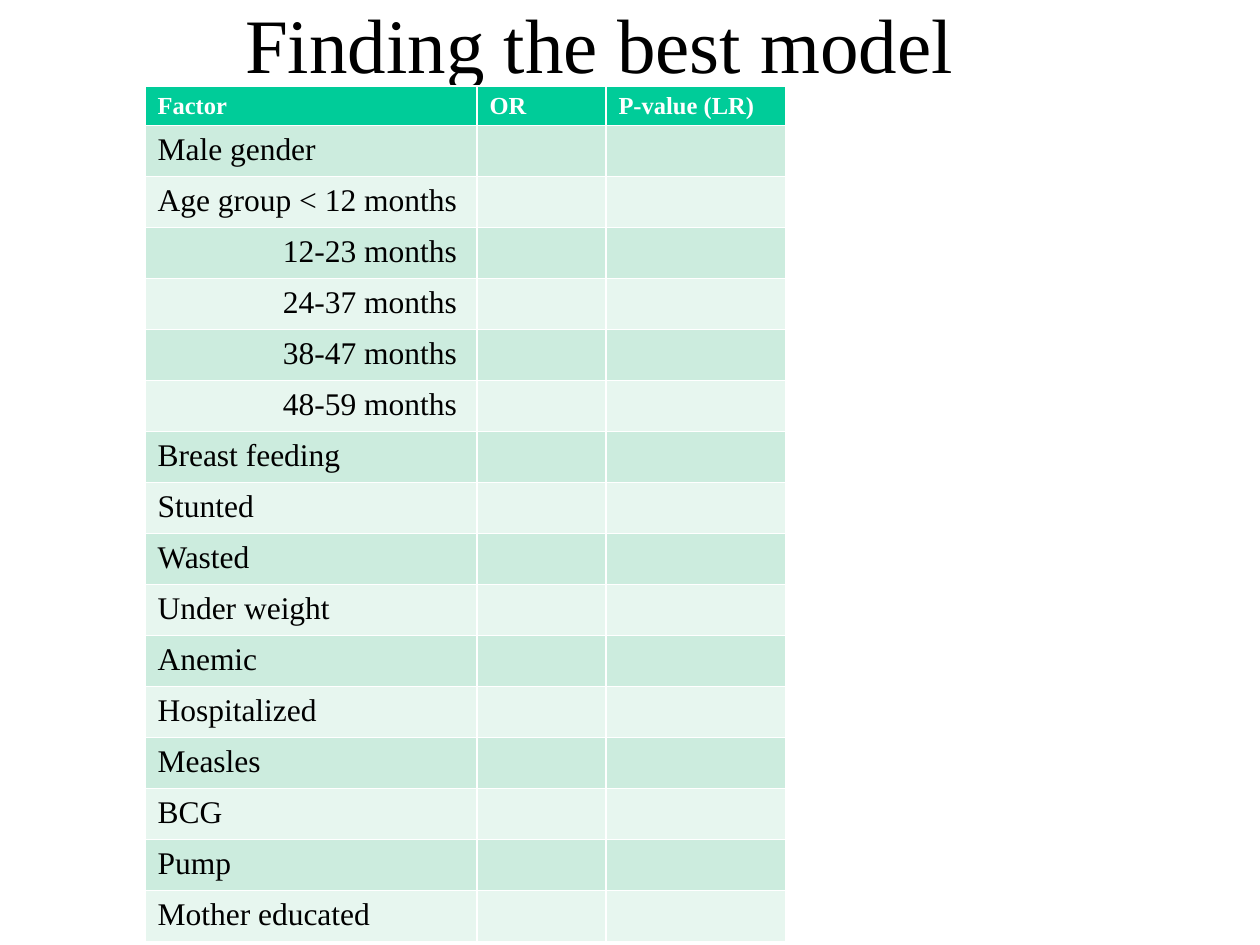
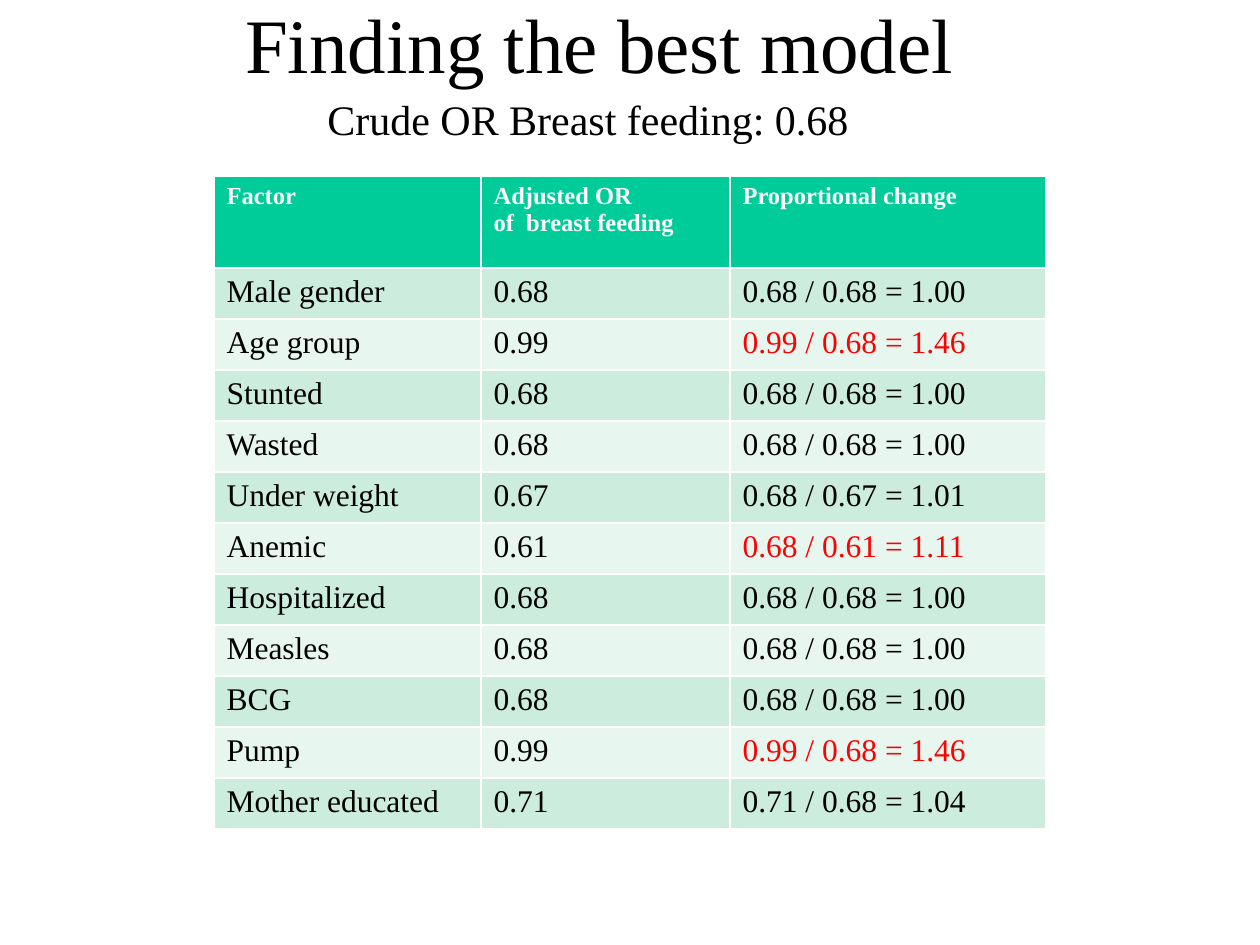
import pptx
import pptx.util
import pptx.dml.color
import pptx.enum.text

# Content
TITLE = "Finding the best model"
FACTOR_HEADER = ["Factor", "OR", "P-value (LR)"]
FACTORS = [
    "Male gender", "Age group < 12 months",
    "12-23 months", "24-37 months", "38-47 months", "48-59 months",
    "Breast feeding", "Stunted", "Wasted", "Under weight", "Anemic",
    "Hospitalized", "Measles", "BCG", "Pump", "Mother educated",
]
AGE_SUBGROUPS = FACTORS[2:6]

CRUDE_OR = 0.68
CRUDE_TEXT = f"Crude OR Breast feeding: {CRUDE_OR:.2f}"
CHANGE_HEADER = ["Factor", "Adjusted OR\nof  breast feeding", "Proportional change"]
ADJUSTED_ORS = [
    ("Male gender", 0.68), ("Age group", 0.99), ("Stunted", 0.68),
    ("Wasted", 0.68), ("Under weight", 0.67), ("Anemic", 0.61),
    ("Hospitalized", 0.68), ("Measles", 0.68), ("BCG", 0.68),
    ("Pump", 0.99), ("Mother educated", 0.71),
]
NOTABLE_CHANGE = 1.10

# Shared style
FONT = "Times New Roman"
BLACK = pptx.dml.color.RGBColor(0x00, 0x00, 0x00)
WHITE = pptx.dml.color.RGBColor(0xFF, 0xFF, 0xFF)
RED = pptx.dml.color.RGBColor(0xFF, 0x00, 0x00)
HEADER_GREEN = pptx.dml.color.RGBColor(0x00, 0xCC, 0x99)
BANDS = [pptx.dml.color.RGBColor(0xCC, 0xEC, 0xDE),
         pptx.dml.color.RGBColor(0xE7, 0xF6, 0xEF)]
ROW_HEIGHT = 51
CELL_INSET = 12
SUBGROUP_INDENT = 126


def px(pixels):
    return pptx.util.Emu(round(pixels * 914400 / 126))


def write(frame, text, size, color, bold=False, align=None):
    frame.text = text
    for paragraph in frame.paragraphs:
        paragraph.alignment = align
        for run in paragraph.runs:
            run.font.name = FONT
            run.font.size = pptx.util.Pt(size)
            run.font.bold = bold
            run.font.color.rgb = color


def add_text(slide, box, text, size, align=None):
    frame = slide.shapes.add_textbox(*map(px, box)).text_frame
    frame.word_wrap = True
    write(frame, text, size, BLACK, align=align)
    return frame


def add_titled_slide(deck):
    slide = deck.slides.add_slide(deck.slide_layouts[6])
    title = add_text(slide, (64, 0, 1071, 86), TITLE, 44,
                     pptx.enum.text.PP_ALIGN.CENTER)
    title.vertical_anchor = pptx.enum.text.MSO_ANCHOR.MIDDLE
    return slide


def add_banded_table(slide, left, top, widths, header_height, header, rows):
    """The default table style supplies the white rules between the cells."""
    height = header_height + ROW_HEIGHT * len(rows)
    table = slide.shapes.add_table(
        len(rows) + 1, len(header),
        px(left), px(top), px(sum(widths)), px(height)).table
    for column, width in zip(table.columns, widths):
        column.width = px(width)
    for index, row in enumerate(table.rows):
        row.height = px(ROW_HEIGHT if index else header_height)

    for column, text in enumerate(header):
        cell = table.cell(0, column)
        cell.fill.solid()
        cell.fill.fore_color.rgb = HEADER_GREEN
        cell.margin_bottom = px(4)
        write(cell.text_frame, text, 14, WHITE, bold=True)

    for index, texts in enumerate(rows):
        for column, text in enumerate(texts):
            cell = table.cell(index + 1, column)
            cell.fill.solid()
            cell.fill.fore_color.rgb = BANDS[index % 2]
            if text:
                write(cell.text_frame, text, 18, BLACK)
    return table


deck = pptx.Presentation()
deck.slide_width, deck.slide_height = px(1260), px(945)

# Slide 1: factors still to be filled in
factor_slide = add_titled_slide(deck)
factor_table = add_banded_table(
    factor_slide, 145, 86, [332, 129, 180], 39, FACTOR_HEADER,
    [(factor, "", "") for factor in FACTORS])
for subgroup in AGE_SUBGROUPS:
    age_cell = factor_table.cell(FACTORS.index(subgroup) + 1, 0)
    age_cell.margin_left = px(CELL_INSET + SUBGROUP_INDENT)

# Slide 2: larger odds ratio divided by the smaller one
change_slide = add_titled_slide(deck)
change_rows, notable_rows = [], []
for number, (factor, adjusted) in enumerate(ADJUSTED_ORS, start=1):
    larger, smaller = max(adjusted, CRUDE_OR), min(adjusted, CRUDE_OR)
    change = larger / smaller
    change_rows.append((factor, f"{adjusted:.2f}",
                        f"{larger:.2f} / {smaller:.2f} = {change:.2f}"))
    if change >= NOTABLE_CHANGE:
        notable_rows.append(number)
change_table = add_banded_table(
    change_slide, 214, 176, [267, 249, 316], 92, CHANGE_HEADER, change_rows)
for number in notable_rows:
    change_cell = change_table.cell(number, 2)
    change_cell.text_frame.paragraphs[0].runs[0].font.color.rgb = RED
add_text(change_slide, (315, 87, 630, 63), CRUDE_TEXT, 24)

deck.save("out.pptx")
